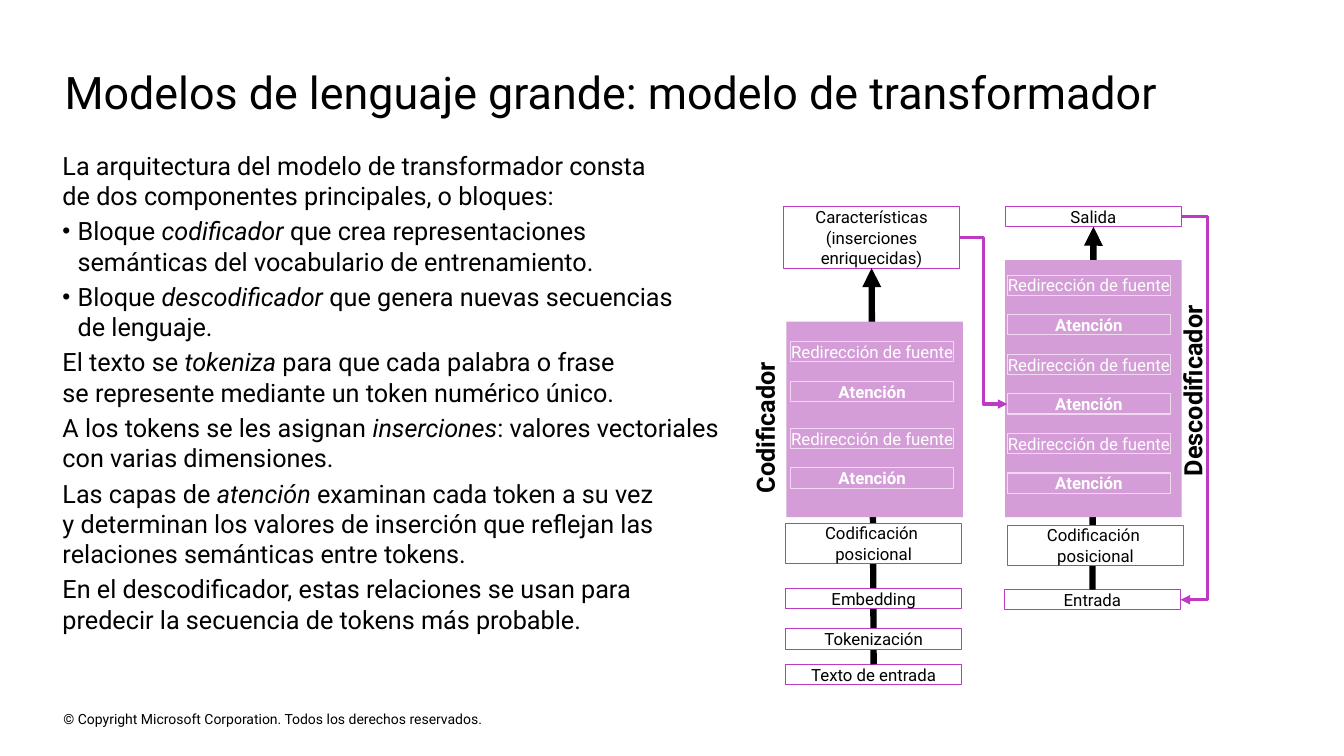
from lxml import etree
from pptx import Presentation
from pptx.dml.color import RGBColor
from pptx.enum.shapes import MSO_CONNECTOR, MSO_SHAPE
from pptx.enum.text import MSO_ANCHOR, MSO_AUTO_SIZE, PP_ALIGN
from pptx.oxml.ns import qn
from pptx.util import Inches, Pt

RECT = MSO_SHAPE.RECTANGLE
STRAIGHT, ELBOW = MSO_CONNECTOR.STRAIGHT, MSO_CONNECTOR.ELBOW
TOP, MIDDLE = MSO_ANCHOR.TOP, MSO_ANCHOR.MIDDLE
LEFT, CENTER = PP_ALIGN.LEFT, PP_ALIGN.CENTER
NO_AUTOSIZE = MSO_AUTO_SIZE.NONE
TOP_SIDE, LEFT_SIDE, BOTTOM_SIDE, RIGHT_SIDE = range(4)

BLACK = RGBColor(0x00, 0x00, 0x00)
WHITE = RGBColor(0xFF, 0xFF, 0xFF)
PURPLE = RGBColor(0xBF, 0x3A, 0xC4)
LILAC = RGBColor(0xD5, 0x9D, 0xD7)
PALE = RGBColor(0xF2, 0xD7, 0xF3)

FONT = "Roboto"
SLIDE_W, SLIDE_H = Inches(13.33), Inches(7.5)
CELL = SLIDE_H / 75
STEP_W, LAYER_W, ROW_H = 17.5, 16.2, 2
ENCODER_X, DECODER_X = 77.9, 99.7
RETURN_LANE = 119.8

TITLE = "Modelos de lenguaje grande: modelo de transformador"
COPYRIGHT = "© Copyright Microsoft Corporation. Todos los derechos reservados."
POSITIONAL = "Codificación \nposicional"
EXPLANATION = [
    ("La arquitectura del modelo de transformador consta \nde dos componentes principales, o bloques:", False),
    ("Bloque *codificador* que crea representaciones semánticas del vocabulario de entrenamiento.", True),
    ("Bloque *descodificador* que genera nuevas secuencias \nde lenguaje.", True),
    ("El texto se *tokeniza* para que cada palabra o frase \nse represente mediante un token numérico único.", False),
    ("A los tokens se les asignan *inserciones*: valores vectoriales con varias dimensiones.", False),
    ("Las capas de *atención* examinan cada token a su vez \ny determinan los valores de inserción "
     "que reflejan las relaciones semánticas entre tokens.", False),
    ("En el descodificador, estas relaciones se usan para \npredecir la secuencia de tokens más probable.", False),
]


def cells(*counts):
    return [round(count * CELL) for count in counts]


def add_bullet(paragraph):
    properties = paragraph._p.get_or_add_pPr()
    indent = Inches(0.15)
    properties.set("marL", str(indent))
    properties.set("indent", str(-indent))
    etree.SubElement(properties, qn("a:buSzPct")).set("val", "90000")
    etree.SubElement(properties, qn("a:buFont")).set("typeface", "Arial")
    etree.SubElement(properties, qn("a:buChar")).set("char", "•")


def write(frame, paragraphs, size=12, color=BLACK, bold=False, align=LEFT, anchor=TOP, wrap=True):
    frame.margin_left = frame.margin_right = frame.margin_top = frame.margin_bottom = 0
    frame.auto_size = NO_AUTOSIZE
    frame.word_wrap = wrap
    frame.vertical_anchor = anchor
    for index, (text, bulleted) in enumerate(paragraphs):
        paragraph = frame.add_paragraph() if index else frame.paragraphs[0]
        paragraph.alignment = align
        paragraph.space_before = Pt(0.2 * size if index else 0)
        if bulleted:
            add_bullet(paragraph)
        for part, phrase in enumerate(text.split("*")):
            for line_number, line in enumerate(phrase.split("\n")):
                if line_number:
                    paragraph.add_line_break()
                run = paragraph.add_run()
                run.text = line
                run.font.name = FONT
                run.font.size = Pt(size)
                run.font.bold = bold
                run.font.italic = part % 2 == 1
                run.font.color.rgb = color


def add_label(slide, area, paragraphs, rotation=0, **text_format):
    label = slide.shapes.add_textbox(*cells(*area))
    label.rotation = rotation
    write(label.text_frame, paragraphs, **text_format)


def add_box(slide, area, text="", fill=None, outline=None, **text_format):
    box = slide.shapes.add_shape(RECT, *cells(*area))
    box.shadow.inherit = False
    if fill is None:
        box.fill.background()
    else:
        box.fill.solid()
        box.fill.fore_color.rgb = fill
    if outline is None:
        box.line.fill.background()
    else:
        box.line.color.rgb = outline
        box.line.width = Pt(0.75)
    if text:
        write(box.text_frame, [(text, False)], align=CENTER, anchor=MIDDLE, **text_format)
    return box


def add_step(slide, left, top, text, height=ROW_H):
    return add_box(slide, (left, top, STEP_W, height), text, fill=WHITE, outline=PURPLE)


def add_layers(slide, left, top, pairs, pair_pitch):
    layers = []
    for pair in range(pairs):
        for offset, text, bold in ((0, "Redirección de fuente", False), (3.93, "Atención", True)):
            area = (left, top + pair * pair_pitch + offset, LAYER_W, ROW_H)
            layers.append(add_box(slide, area, text, outline=PALE, color=WHITE, bold=bold, wrap=False))
    return layers


def add_arrow(slide, kind, start, start_side, end, end_side, color, width, lane=None):
    arrow = slide.shapes.add_connector(kind, 0, 0, 0, 0)
    arrow.begin_connect(start, start_side)
    arrow.end_connect(end, end_side)
    arrow.line.color.rgb = color
    arrow.line.width = Pt(width)
    properties = arrow.element.spPr
    etree.SubElement(properties.find(qn("a:ln")), qn("a:tailEnd")).set("type", "triangle")
    etree.SubElement(properties, qn("a:effectLst"))
    if lane is not None:
        share = (lane * CELL - arrow.begin_x) / (arrow.end_x - arrow.begin_x)
        guide = etree.SubElement(properties.find(qn("a:prstGeom")).find(qn("a:avLst")), qn("a:gd"))
        guide.set("name", "adj1")
        guide.set("fmla", f"val {round(share * 100000)}")


def add_encoder(slide):
    features = add_step(slide, 77.7, 20.5, "Características (inserciones enriquecidas)", 6.1)
    source_text = add_step(slide, ENCODER_X, 65.9, "Texto de entrada")
    add_arrow(slide, STRAIGHT, source_text, TOP_SIDE, features, BOTTOM_SIDE, BLACK, 4.5)
    add_box(slide, (78, 31.9, STEP_W, 19.4), fill=LILAC)
    add_label(slide, (69, 40.6, 13.7, 3), [("Codificador", False)], rotation=270, size=18, bold=True)
    add_step(slide, ENCODER_X, 62.4, "Tokenización")
    add_step(slide, ENCODER_X, 58.4, "Embedding")
    add_step(slide, ENCODER_X, 51.9, POSITIONAL, 4)
    add_layers(slide, 78.4, 33.9, 2, 8.6)
    return features


def add_decoder(slide):
    output = add_step(slide, DECODER_X, 20.5, "Salida")
    entry = add_step(slide, DECODER_X - 0.1, 58.5, "Entrada")
    add_arrow(slide, STRAIGHT, entry, TOP_SIDE, output, BOTTOM_SIDE, BLACK, 4.5)
    add_box(slide, (DECODER_X, 25.8, STEP_W, 25.5), fill=LILAC)
    add_label(slide, (109.4, 36.9, 17.7, 3), [("Descodificador", False)], rotation=270, size=18, bold=True)
    add_step(slide, 99.9, 52.1, POSITIONAL, 4)
    layers = add_layers(slide, 99.9, 27.3, 3, 7.85)
    add_arrow(slide, ELBOW, output, RIGHT_SIDE, entry, RIGHT_SIDE, PURPLE, 2.25, lane=RETURN_LANE)
    return layers[3]


def main():
    deck = Presentation()
    deck.slide_width, deck.slide_height = SLIDE_W, SLIDE_H
    slide = deck.slides.add_slide(deck.slide_layouts[5])
    title = slide.shapes.title
    title.left, title.top, title.width, title.height = cells(6.4, 6.4, 120.8, 5.4)
    write(title.text_frame, [(TITLE, False)], size=32)
    add_label(slide, (6.2, 14.9, 65.3, 49.1), EXPLANATION, size=18)
    add_label(slide, (6.3, 70.2, 45.4, 2.2), [(COPYRIGHT, False)], size=10, anchor=MIDDLE)
    features = add_encoder(slide)
    cross_attention = add_decoder(slide)
    add_arrow(slide, ELBOW, features, RIGHT_SIDE, cross_attention, LEFT_SIDE, PURPLE, 2.25)
    deck.save("out.pptx")


if __name__ == "__main__":
    main()
